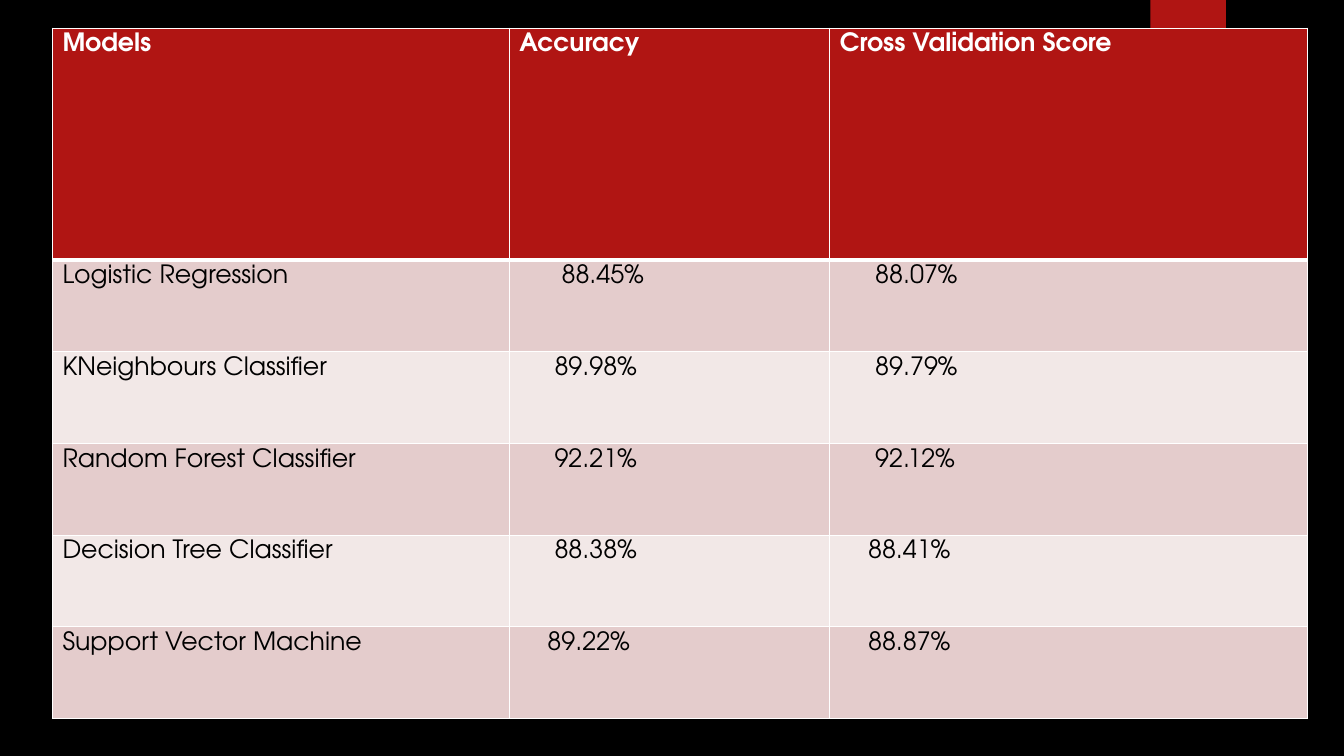
from dataclasses import dataclass

from lxml import etree
from pptx import Presentation
from pptx.dml.color import RGBColor
from pptx.enum.shapes import MSO_SHAPE
from pptx.enum.text import MSO_ANCHOR
from pptx.oxml.ns import qn
from pptx.util import Inches, Pt

RECTANGLE = MSO_SHAPE.RECTANGLE
TOP = MSO_ANCHOR.TOP


@dataclass(frozen=True)
class Theme:
    font: str = "TeX Gyre Adventor"
    size: int = 18
    background: str = "000000"
    accent: str = "B01513"
    bands: tuple = ("E4CCCC", "F2E8E7")
    grid: str = "FFFFFF"
    header_text: str = "FFFFFF"
    body_text: str = "000000"
    thin: int = 1
    thick: int = 3


THEME = Theme()

HEADINGS = ("Models", "Accuracy", "Cross Validation Score")
# Model, accuracy, score, then the indent steps of the two values
RESULTS = (
    ("Logistic Regression", "88.45%", "88.07%", 6, 5),
    ("KNeighbours Classifier", "89.98%", "89.79%", 5, 5),
    ("Random Forest Classifier", "92.21%", "92.12%", 5, 5),
    ("Decision Tree Classifier", "88.38%", "88.41%", 5, 4),
    ("Support Vector Machine", "89.22%", "88.87%", 4, 4),
)
COLUMN_WIDTHS = (4.53, 3.18, 4.74)
HEADER_HEIGHT = 2.3
SIDE_MARGIN = 0.1
TOP_MARGIN = 0.05
INDENT_STEP = 0.07


def set_fill(fill, color):
    fill.solid()
    fill.fore_color.rgb = RGBColor.from_string(color)


def set_borders(cell, widths):
    """Draw the left, right, top and bottom lines, ahead of the cell fill."""
    properties = cell._tc.get_or_add_tcPr()
    for position, (side, width) in enumerate(zip("LRTB", widths)):
        line = etree.Element(qn(f"a:ln{side}"), w=str(Pt(width)))
        solid = etree.SubElement(line, qn("a:solidFill"))
        etree.SubElement(solid, qn("a:srgbClr"), val=THEME.grid)
        properties.insert(position, line)


def write_cell(cell, text, fill, color, bold=False, indent=0, top=THEME.thin,
               bottom=THEME.thin):
    layout = {
        "margin_left": Inches(SIDE_MARGIN + indent * INDENT_STEP),
        "margin_right": Inches(SIDE_MARGIN),
        "margin_top": Inches(TOP_MARGIN),
        "margin_bottom": Inches(TOP_MARGIN),
        "vertical_anchor": TOP,
    }
    for name, value in layout.items():
        setattr(cell, name, value)
    set_fill(cell.fill, fill)
    set_borders(cell, (THEME.thin, THEME.thin, top, bottom))

    label = cell.text_frame.paragraphs[0].add_run()
    label.text = text
    style = {"name": THEME.font, "size": Pt(THEME.size), "bold": bold}
    for name, value in style.items():
        setattr(label.font, name, value)
    label.font.color.rgb = RGBColor.from_string(color)


def add_tab(slide, left, top, width, height):
    tab = slide.shapes.add_shape(
        RECTANGLE, Inches(left), Inches(top), Inches(width), Inches(height))
    tab.shadow.inherit = False
    set_fill(tab.fill, THEME.accent)
    tab.line.fill.background()


def add_scores(slide, left, top, width, height):
    scores = slide.shapes.add_table(
        len(RESULTS) + 1, len(HEADINGS),
        Inches(left), Inches(top), Inches(width), Inches(height)).table
    for column, share in zip(scores.columns, COLUMN_WIDTHS):
        column.width = Inches(width * share / sum(COLUMN_WIDTHS))
    for index, row in enumerate(scores.rows):
        row.height = Inches(
            (height - HEADER_HEIGHT) / len(RESULTS) if index else HEADER_HEIGHT)

    # Header row
    for column, heading in enumerate(HEADINGS):
        write_cell(scores.cell(0, column), heading, THEME.accent,
                   THEME.header_text, bold=True, bottom=THEME.thick)

    # One banded row per model
    for row, (model, accuracy, score, *steps) in enumerate(RESULTS, 1):
        band = THEME.bands[(row - 1) % len(THEME.bands)]
        values = zip((model, accuracy, score), (0, *steps))
        for column, (text, indent) in enumerate(values):
            write_cell(scores.cell(row, column), text, band, THEME.body_text,
                       indent=indent,
                       top=THEME.thick if row == 1 else THEME.thin)


def main():
    deck = Presentation()
    deck.slide_width, deck.slide_height = Inches(13.33), Inches(7.5)
    slide = deck.slides.add_slide(deck.slide_layouts[6])
    set_fill(slide.background.fill, THEME.background)
    add_tab(slide, 11.41, 0, 0.75, 1.25)
    add_scores(slide, 0.52, 0.28, 12.45, 6.85)
    deck.save("out.pptx")


if __name__ == "__main__":
    main()
